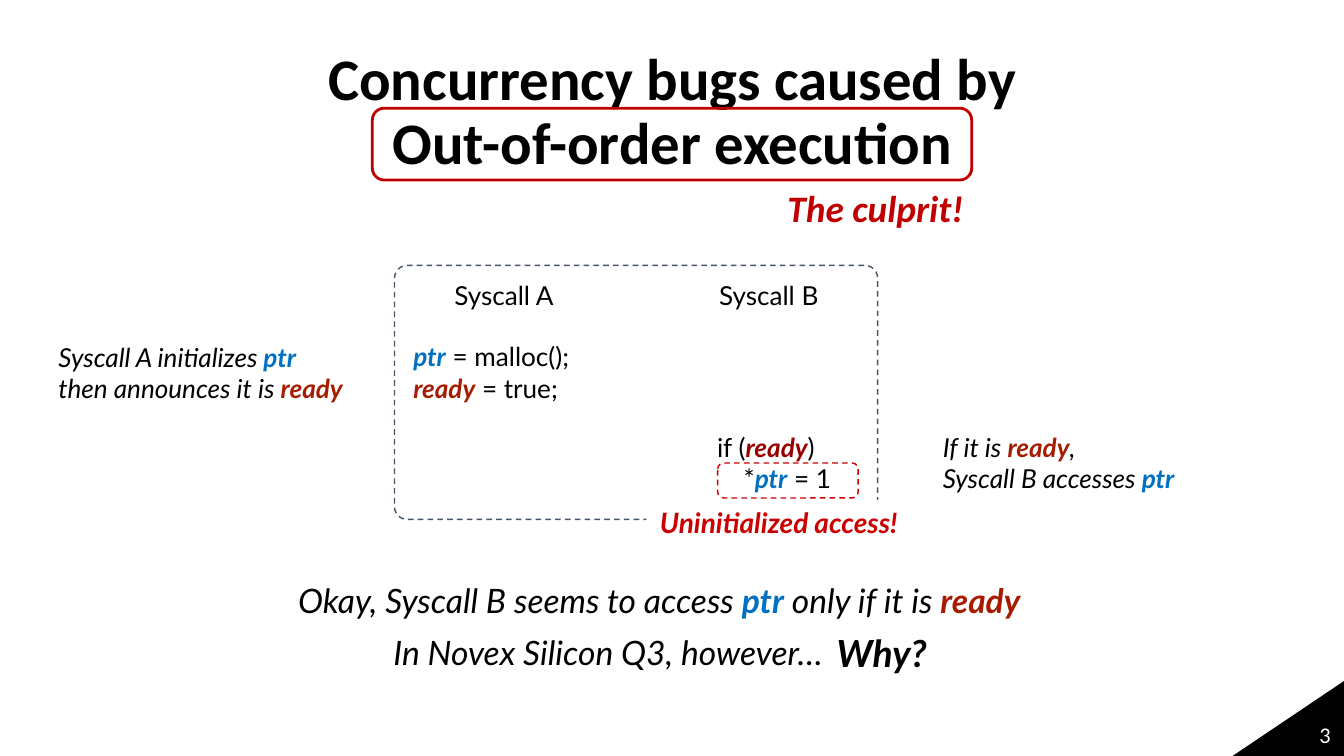
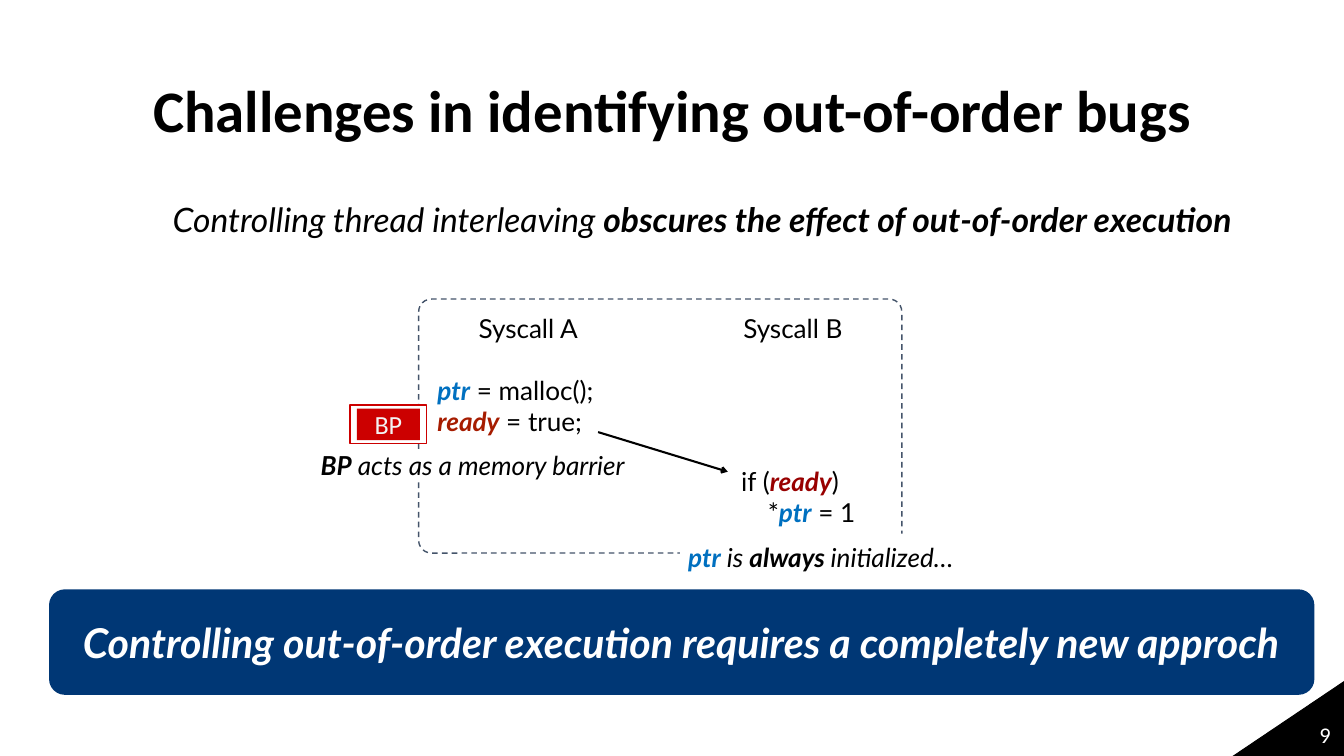
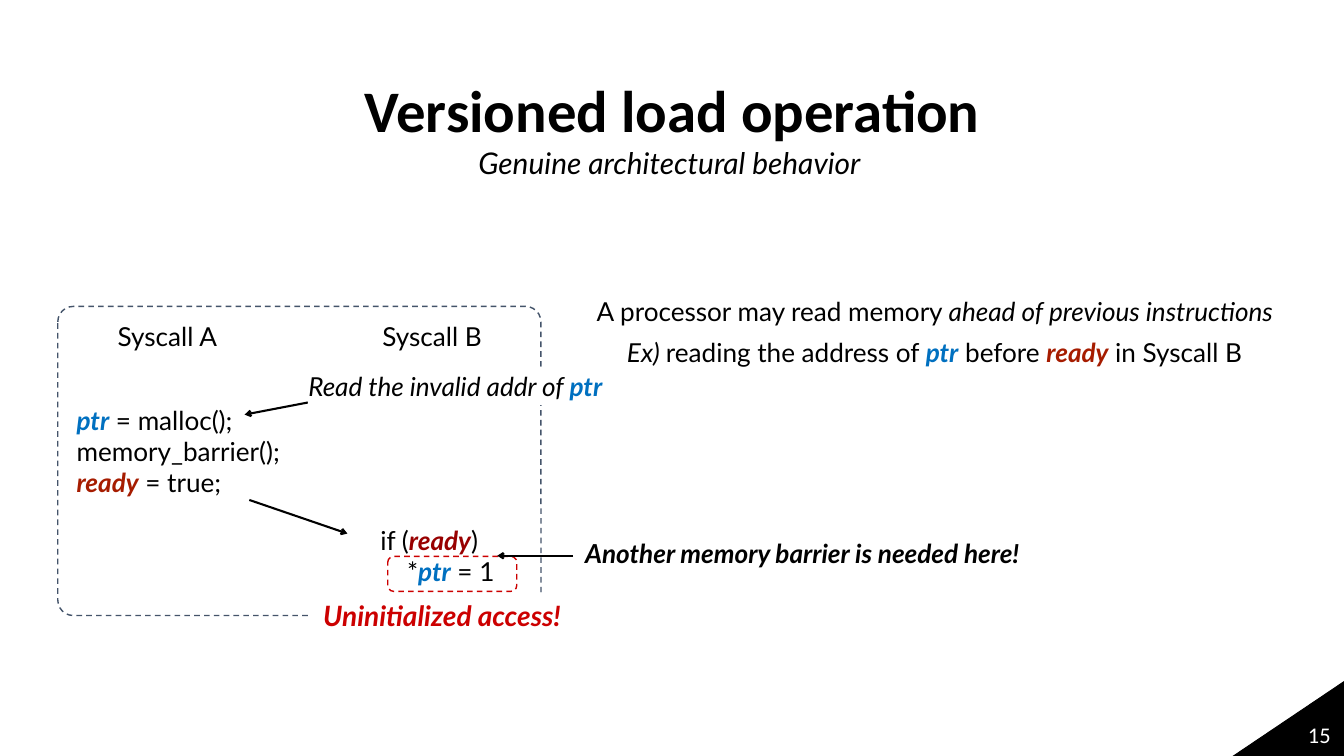
import typing
from dataclasses import dataclass

import lxml.etree
import pptx
import pptx.dml.color
import pptx.enum.dml
import pptx.enum.shapes
import pptx.enum.text
import pptx.oxml.ns
import pptx.util

Inches = pptx.util.Inches
Pt = pptx.util.Pt
qn = pptx.oxml.ns.qn
KIND = pptx.enum.shapes.MSO_SHAPE
ALIGN = pptx.enum.text.PP_ALIGN
ANCHOR = pptx.enum.text.MSO_ANCHOR

COLORS = {
    "black": "000000",
    "white": "FFFFFF",
    "pale": "F3F3F3",
    "blue": "0070C0",
    "rust": "A61C00",
    "maroon": "980000",
    "red": "CC0000",
    "crimson": "C00000",
    "slate": "44546A",
    "navy": "003775",
}
CODE_INSET = (0.2, 0.2)
ALERT_INSET = (0.2, 0.08)


class Run(typing.NamedTuple):
    """Text whose unset formats come from its box."""
    text: str
    color: typing.Optional[str] = None
    bold: typing.Optional[bool] = None
    italic: typing.Optional[bool] = None


class Box(typing.NamedTuple):
    left: float
    top: float
    width: float
    height: float

    def sizes(self) -> list:
        return [Inches(value) for value in self]


Line = typing.List[typing.Union[str, Run]]

PTR = Run("ptr", "blue", True, True)
READY = Run("ready", "rust", True, True)
ALLOC: Line = [PTR, " = malloc();"]
NOTIFY: Line = [READY, " = true;"]
CHECK: Line = ["if (", READY._replace(color="maroon"), ")"]
ACCESS: Line = ["    *", PTR, " = 1"]


@dataclass
class Panel:
    """The dashed frame that shows two system calls side by side."""
    left: float
    top: float
    height: float
    setup: typing.List[Line]
    setup_drop: float
    use_drop: float


def tint(name: str) -> pptx.dml.color.RGBColor:
    return pptx.dml.color.RGBColor.from_string(COLORS[name])


def write(shape, lines: typing.List[Line], *, size: float = 28, font: str = "Lato",
          color: str = "black", bold: bool = False, italic: bool = False,
          align=ALIGN.LEFT, anchor=ANCHOR.TOP, inset=(0.1, 0.05),
          spacing: typing.Optional[float] = None, gap: float = 0,
          indents: typing.Sequence[float] = ()) -> None:
    """Fill a shape with lines of runs; indents also switch bullets off."""
    frame = shape.text_frame
    frame.word_wrap = True
    frame.auto_size = pptx.enum.text.MSO_AUTO_SIZE.NONE
    frame.vertical_anchor = anchor
    frame.margin_left = frame.margin_right = Inches(inset[0])
    frame.margin_top = frame.margin_bottom = Inches(inset[1])
    for index, line in enumerate(lines):
        para = frame.add_paragraph() if index else frame.paragraphs[0]
        if indents:
            props = para._p.get_or_add_pPr()
            props.set("marL", str(Inches(indents[index])))
            props.set("indent", "0")
            lxml.etree.SubElement(props, qn("a:buNone"))
        para.alignment = align
        para.space_before = Pt(gap if index else 0)
        if spacing:
            para.line_spacing = spacing
        for item in line:
            if item == "\n":
                para.add_line_break()
                continue
            part = Run(item) if isinstance(item, str) else item
            run = para.add_run()
            run.text = part.text
            run.font.name = font
            run.font.size = Pt(size)
            run.font.bold = bold if part.bold is None else part.bold
            run.font.italic = italic if part.italic is None else part.italic
            run.font.color.rgb = tint(part.color or color)


def label(slide, box: Box, lines: typing.List[Line], **style) -> None:
    write(slide.shapes.add_textbox(*box.sizes()), lines, **style)


def draw(slide, kind, box: Box, fill: typing.Optional[str] = None,
         line: typing.Optional[str] = None, weight: float = 1.5,
         dash: bool = False, round_by: typing.Optional[float] = None):
    shape = slide.shapes.add_shape(kind, *box.sizes())
    shape.shadow.inherit = False
    if fill:
        shape.fill.solid()
        shape.fill.fore_color.rgb = tint(fill)
    else:
        shape.fill.background()
    if line:
        shape.line.color.rgb = tint(line)
        shape.line.width = Pt(weight)
        if dash:
            shape.line.dash_style = pptx.enum.dml.MSO_LINE.DASH
    else:
        shape.line.fill.background()
    if round_by is not None:
        shape.adjustments[0] = round_by
    return shape


def patch(slide, box: Box, lines: typing.List[Line], **style) -> None:
    """Text on a white block that covers what lies behind it."""
    write(draw(slide, KIND.RECTANGLE, box, fill="white"), lines, **style)


def alert(slide, box: Box) -> None:
    patch(slide, box, [["Uninitialized access!"]], size=30, color="red",
          bold=True, italic=True, inset=ALERT_INSET)


def mark(slide, box: Box) -> None:
    """Dashed red outline around the faulty access."""
    draw(slide, KIND.ROUNDED_RECTANGLE, box, line="red", dash=True)


def arrow(slide, start: typing.Tuple[float, float], end: typing.Tuple[float, float]) -> None:
    ends = [Inches(value) for value in start + end]
    link = slide.shapes.add_connector(pptx.enum.shapes.MSO_CONNECTOR.STRAIGHT, *ends)
    link.line.color.rgb = tint("black")
    link.line.width = Pt(2.25)
    props = link.element.spPr
    lxml.etree.SubElement(props.find(qn("a:ln")), qn("a:tailEnd"), type="arrow")
    lxml.etree.SubElement(props, qn("a:effectLst"))


def place(shape, box: Box) -> None:
    shape.left, shape.top, shape.width, shape.height = box.sizes()


def start(deck, title: Line, number: int, body: bool = False):
    """Add a slide with its title, corner and page number."""
    slide = deck.slides.add_slide(deck.slide_layouts[1 if body else 5])
    corner = draw(slide, KIND.RIGHT_TRIANGLE, Box(18.31, 10.13, 1.71, 1.15),
                  fill="black", line="black", weight=1)
    corner.element.spPr.get_or_add_xfrm().set("flipH", "1")
    head = slide.shapes.title
    place(head, Box(1.38, 0.6, 17.25, 2.17))
    write(head, [title], size=63, font="Calibri", bold=True, align=ALIGN.CENTER,
          anchor=ANCHOR.MIDDLE, spacing=0.9)
    label(slide, Box(15.4, 10.63, 4.5, 0.6), [[str(number)]], size=24, font="Calibri",
          color="white", align=ALIGN.RIGHT, anchor=ANCHOR.MIDDLE)
    return slide


def fill_body(slide, box: Box, lines: typing.List[Line], **style) -> None:
    body = slide.placeholders[1]
    place(body, box)
    write(body, lines, spacing=0.9, **style)


def show(slide, panel: Panel) -> None:
    left, top = panel.left, panel.top
    draw(slide, KIND.ROUNDED_RECTANGLE, Box(left, top, 7.19, panel.height),
         line="slate", dash=True, round_by=0.05)
    for index, name in enumerate("AB"):
        label(slide, Box(left + 0.66 + 3.94 * index, top, 1.94, 0.88),
              [[f"Syscall {name}"]], align=ALIGN.CENTER, inset=CODE_INSET)
    label(slide, Box(left + 0.08, top + panel.setup_drop, 4.06, 1.35),
          panel.setup, inset=CODE_INSET)
    label(slide, Box(left + 4.6, top + panel.use_drop, 3.56, 1.35),
          [CHECK, ACCESS], inset=CODE_INSET)


def add_culprit(deck) -> None:
    slide = start(deck, ["Concurrency bugs caused by", "\n", "Out-of-order execution"], 3)
    show(slide, Panel(5.87, 3.95, 3.78, [ALLOC, NOTIFY], 0.92, 2.27))
    label(slide, Box(0.67, 4.88, 5.1, 1.35),
          [["Syscall A initializes ", PTR], ["then announces it is ", READY]],
          italic=True, inset=CODE_INSET)
    label(slide, Box(13.83, 6.22, 4.25, 1.35),
          [["If it is ", READY, ","], ["Syscall B accesses ", PTR]],
          italic=True, inset=CODE_INSET)
    label(slide, Box(2.32, 8.58, 14.98, 0.7),
          [["Okay, Syscall B seems to access ", PTR, " only if it is ", READY]],
          size=36, italic=True, align=ALIGN.CENTER)
    label(slide, Box(5.05, 9.36, 8, 0.7), [["In Novex Silicon Q3, however…"]],
          size=36, italic=True, align=ALIGN.CENTER)
    alert(slide, Box(9.62, 7.44, 4.69, 0.66))
    mark(slide, Box(10.68, 6.89, 2.09, 0.52))
    label(slide, Box(12.35, 9.33, 1.81, 0.77), [["Why?"]], size=40, bold=True, italic=True)
    draw(slide, KIND.ROUNDED_RECTANGLE, Box(5.54, 1.61, 8.92, 1.07),
         line="crimson", weight=3)
    label(slide, Box(11.62, 2.7, 3, 0.77), [["The culprit!"]], size=40, font="Calibri",
          color="crimson", bold=True, italic=True)


def add_challenge(deck) -> None:
    slide = start(deck, ["Challenges in identifying out-of-order bugs"], 9, body=True)
    fill_body(slide, Box(2.47, 2.98, 17.4, 1.16),
              [["Controlling thread interleaving ",
                Run("obscures the effect of out-of-order execution", bold=True)]],
              size=36, italic=True, indents=[0])
    show(slide, Panel(6.23, 4.45, 3.78, [ALLOC, NOTIFY], 0.92, 2.27))
    draw(slide, KIND.RECTANGLE, Box(5.21, 6.03, 1.14, 0.57), fill="white", line="red")
    stop = draw(slide, KIND.RECTANGLE, Box(5.31, 6.08, 0.94, 0.47), fill="red")
    write(stop, [["BP"]], font="Calibri", color="pale", align=ALIGN.CENTER,
          anchor=ANCHOR.MIDDLE, inset=(0.2, 0))
    patch(slide, Box(10.12, 7.94, 4.42, 0.71),
          [[PTR, " is ", Run("always ", bold=True), "initialized…"]],
          italic=True, inset=(0.12, 0.12))
    patch(slide, Box(4.77, 6.69, 5.36, 0.47),
          [[Run("BP", bold=True), " acts as a memory barrier"]], italic=True, inset=(0, 0))
    arrow(slide, (8.9, 6.43), (10.83, 7.02))
    band = draw(slide, KIND.ROUNDED_RECTANGLE, Box(0.73, 8.77, 18.83, 1.57),
                fill="navy", round_by=0.15)
    write(band, [["Controlling out-of-order execution requires a completely new approch"]],
          size=44, color="white", bold=True, italic=True, align=ALIGN.CENTER,
          anchor=ANCHOR.MIDDLE, inset=CODE_INSET)


def add_load(deck) -> None:
    slide = start(deck, ["Versioned load operation"], 15, body=True)
    fill_body(slide, Box(8.78, 4.4, 11.18, 5.99),
              [["A processor may read memory ",
                Run("ahead of previous instructions", italic=True)],
               [Run("Ex) ", italic=True), "reading the address of ", PTR, " before ",
                READY, " in Syscall B"]],
              gap=14, indents=[0, 0.45])
    show(slide, Panel(0.86, 4.56, 4.6, [ALLOC, ["memory_barrier();"], NOTIFY], 1.25, 3.04))
    alert(slide, Box(4.61, 8.82, 4.06, 0.66))
    mark(slide, Box(5.77, 8.28, 1.92, 0.52))
    patch(slide, Box(4.49, 5.46, 4.75, 0.57), [["Read the invalid addr of ", PTR]],
          italic=True)
    label(slide, Box(7.02, 2.1, 10.24, 0.64), [["Genuine architectural behavior"]],
          size=32, italic=True)
    patch(slide, Box(8.61, 7.95, 6.76, 0.57), [["Another memory barrier is needed here!"]],
          bold=True, italic=True)
    arrow(slide, (3.71, 7.44), (5.17, 7.94))
    arrow(slide, (4.58, 5.99), (3.64, 6.17))
    arrow(slide, (8.53, 8.27), (7.4, 8.27))


def main() -> None:
    deck = pptx.Presentation()
    deck.slide_width = Inches(20)
    deck.slide_height = Inches(11.25)
    add_culprit(deck)
    add_challenge(deck)
    add_load(deck)
    deck.save("out.pptx")


if __name__ == "__main__":
    main()
